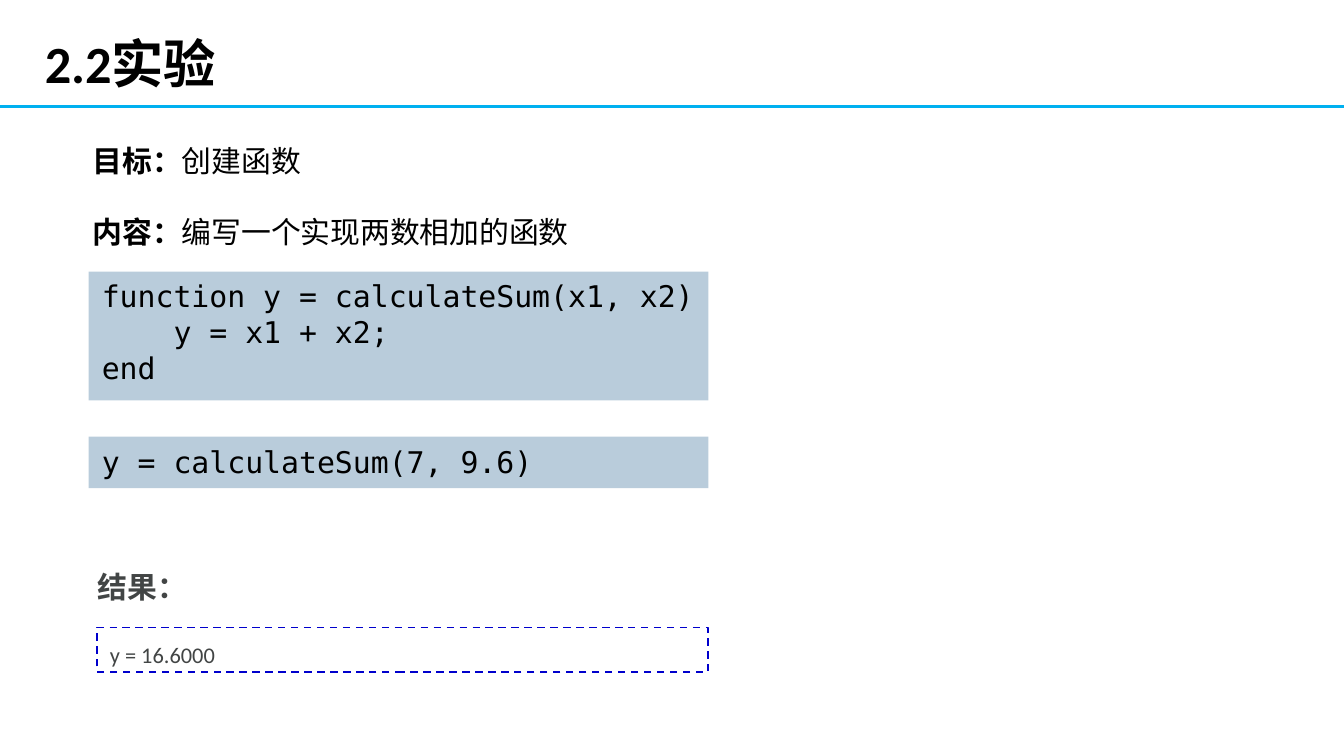
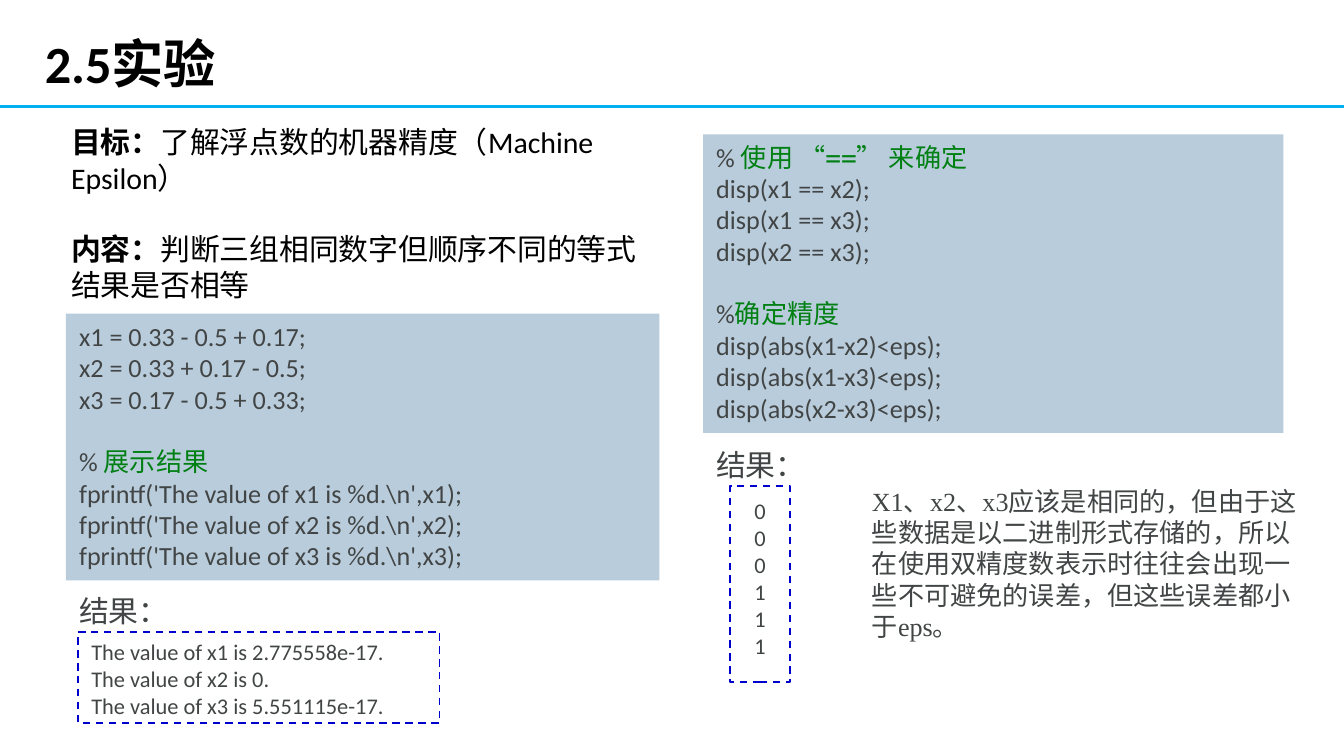
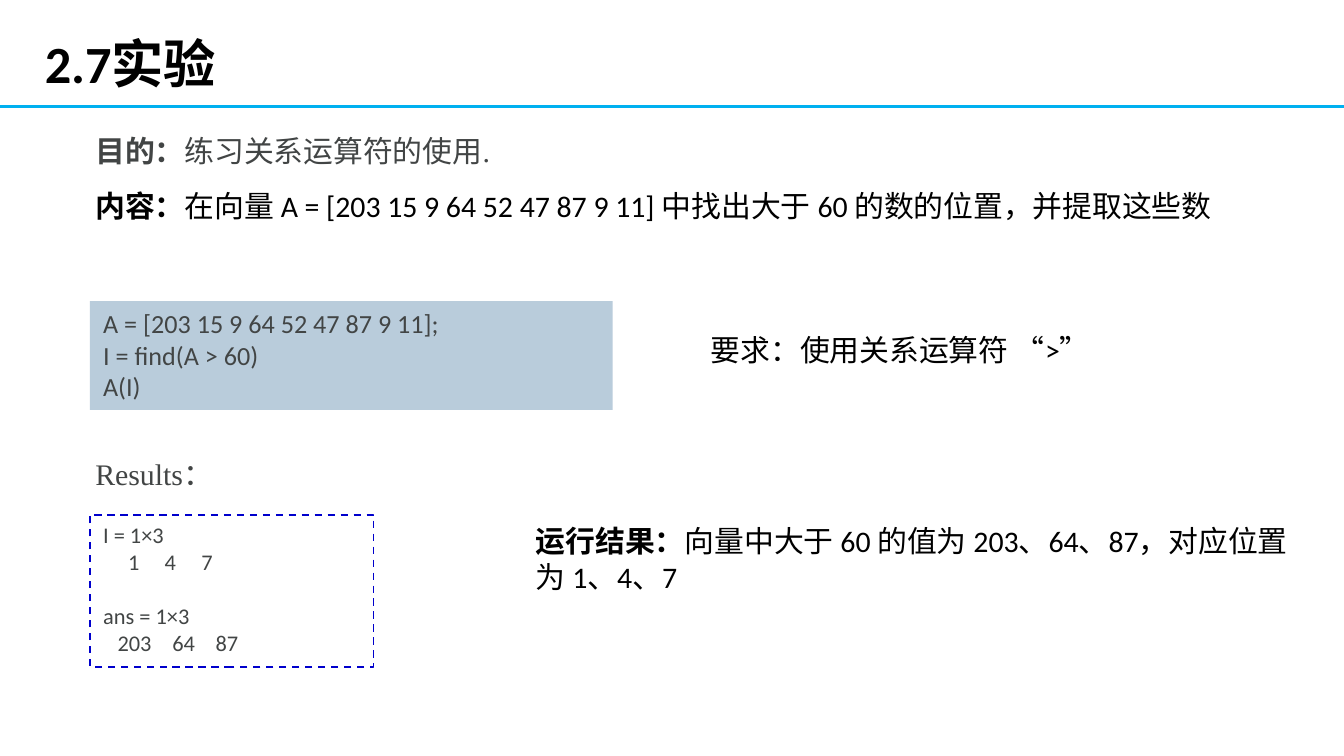
import lxml.etree
import pptx
import pptx.dml.color
import pptx.enum.dml
import pptx.enum.shapes
import pptx.enum.text
import pptx.oxml.ns
import pptx.util

Pt = pptx.util.Pt
ALIGN = pptx.enum.text.PP_ALIGN
ANCHOR = pptx.enum.text.MSO_ANCHOR
qn = pptx.oxml.ns.qn

WIDE, HIGH, RULE = 720, 405, 57
BODY = (0, RULE, WIDE, HIGH - RULE)
BLACK, GRAY, GREEN = "000000", "424545", "008013"
BLUE, SKY, DASH = "B9CCDB", "00B0F0", "0000CC"
SANS, MONO, SERIF = "Calibri", "DejaVu Sans Mono", "Times New Roman"


def color(code):
    """Turn a hex string into a color."""
    return pptx.dml.color.RGBColor.from_string(code)


def style(run, size, font, ink, bold=False):
    """Format one run."""
    run.font.size = Pt(size)
    run.font.name = font
    run.font.bold = bold
    run.font.color.rgb = color(ink)


def within(box, left, top, wide, high):
    """Place a part relative to the corner of a box."""
    return box[0] + left, box[1] + top, wide, high


def write(frame, lines, size, font, ink, gaps=(), lead=None):
    """Fill a frame; yield each line that has several runs or a bold label."""
    frame.word_wrap = True
    frame.vertical_anchor = ANCHOR.TOP
    mixed = []
    for i, line in enumerate(lines):
        para = frame.add_paragraph() if i else frame.paragraphs[0]
        para.alignment = ALIGN.LEFT
        if lead:
            para.line_spacing = lead
        if i in gaps:
            para.space_before = Pt(1.2 * size)
        parts = (line,) if isinstance(line, str) else line
        for part in parts:
            run = para.add_run()
            run.text = part
            style(run, size, font, ink)
        if parts is line:
            mixed.append(para)
    return mixed


def prose(slide, box, lines, size=16, font=SANS, ink=BLACK, gaps=(), lead=None):
    """Add running text whose split lines open with a bold label."""
    frame = slide.shapes.add_textbox(*map(Pt, box)).text_frame
    for para in write(frame, lines, size, font, ink, gaps, lead):
        para.runs[0].font.bold = True


def panel(slide, box):
    """Add a plain rectangle without fill or line."""
    shape = slide.shapes.add_shape(
        pptx.enum.shapes.MSO_SHAPE.RECTANGLE, *map(Pt, box))
    shape.shadow.inherit = False
    shape.fill.background()
    shape.line.fill.background()
    return shape


def code(slide, box, lines, size=14, font=SANS, ink=GRAY, gaps=()):
    """Add a code block whose split lines end in a green comment."""
    shape = panel(slide, box)
    shape.fill.solid()
    shape.fill.fore_color.rgb = color(BLUE)
    for para in write(shape.text_frame, lines, size, font, ink, gaps):
        style(para.runs[1], size, MONO, GREEN)


def output(slide, box, lines, gaps=(), lead=None):
    """Add a dashed box with program output."""
    shape = panel(slide, box)
    shape.line.color.rgb = color(DASH)
    shape.line.width = Pt(1)
    shape.line.dash_style = pptx.enum.dml.MSO_LINE.DASH
    write(shape.text_frame, lines, 12, SANS, GRAY, gaps, lead)
    return shape.text_frame


def set_tabs(para, first, step, count=3):
    """Give a line evenly spaced right tabs."""
    tabs = lxml.etree.SubElement(para._p.get_or_add_pPr(), qn("a:tabLst"))
    for i in range(count):
        stop = lxml.etree.SubElement(tabs, qn("a:tab"))
        stop.set("pos", str(int(Pt(first + i * step))))
        stop.set("algn", "r")


def page(deck, title):
    """Add a slide with its title and rule."""
    slide = deck.slides.add_slide(deck.slide_layouts[6])
    rule = slide.shapes.add_connector(
        pptx.enum.shapes.MSO_CONNECTOR.STRAIGHT, 0, Pt(RULE), Pt(WIDE), Pt(RULE))
    rule.line.color.rgb = color(SKY)
    rule.line.width = Pt(1.5)
    lxml.etree.SubElement(rule._element.spPr, qn("a:effectLst"))
    frame = slide.shapes.add_textbox(Pt(24), Pt(19.5), Pt(594), Pt(32)).text_frame
    frame.margin_left = frame.margin_right = 0
    frame.margin_top = frame.margin_bottom = 0
    write(frame, [title], 28, SANS, BLACK, lead=0.9)
    frame.vertical_anchor = ANCHOR.MIDDLE
    frame.paragraphs[0].runs[0].font.bold = True
    return slide


def sum_lab(slide, box):
    """Lay out the lab on writing a function."""
    prose(slide, within(box, 42.5, 15.7, 273, 65.5),
          [("目标：", "创建函数"), ("内容：", "编写一个实现两数相加的函数")], gaps=(1,))
    code(slide, within(box, 47.5, 88.5, 332, 69),
         ["function y = calculateSum(x1, x2)", "    y = x1 + x2;", "end"],
         16, MONO, BLACK)
    code(slide, within(box, 47.5, 177, 332, 27.5),
         ["y = calculateSum(7, 9.6)"], 16, MONO, BLACK)
    prose(slide, within(box, 45.4, 244, 113, 26.6), [("结果：",)], 16, SERIF, GRAY)
    output(slide, within(box, 51.8, 279.2, 327.6, 23.8), ["y = 16.6000"], lead=Pt(18))


def float_lab(slide, box):
    """Lay out the lab on machine precision."""
    names = ("x1", "x2", "x3")
    pairs = (("x1", "x2"), ("x1", "x3"), ("x2", "x3"))
    prose(slide, within(box, 31, 5.6, 327, 46.8),
          [("目标：", "了解浮点数的机器精度（Machine Epsilon）"),
           ("内容：", "判断三组相同数字但顺序不同的等式结果是否相等")], gaps=(1,))
    code(slide, within(box, 35.3, 111, 318, 143),
         ["x1 = 0.33 - 0.5 + 0.17;", "x2 = 0.33 + 0.17 - 0.5;",
          "x3 = 0.17 - 0.5 + 0.33;", ("% ", "展示结果")]
         + [f"fprintf('The value of {n} is %d.\\n',{n});" for n in names], gaps=(3,))
    code(slide, within(box, 376.6, 15, 311, 160),
         [("% ", "使用 “==” 来确定")]
         + [f"disp({a} == {b});" for a, b in pairs]
         + [("%", "确定精度")]
         + [f"disp(abs({a}-{b})<eps);" for a, b in pairs], gaps=(4,))
    for left, top in ((35.3, 251.2), (376.6, 172.7)):
        prose(slide, within(box, left, top, 306, 30.2), ["结果："],
              16, SERIF, GRAY, lead=Pt(25))
    values = ("2.775558e-17", "0", "5.551115e-17")
    output(slide, within(box, 41.8, 281.4, 193.7, 49),
           [f"The value of {n} is {v}." for n, v in zip(names, values)])
    flags = output(slide, within(box, 391, 203.6, 32.4, 105), list("000111"))
    flags.margin_top = Pt(6)
    for para in flags.paragraphs:
        para.alignment = ALIGN.CENTER
    prose(slide, within(box, 460, 199.3, 247, 92),
          ["X1、x2、x3应该是相同的，但由于这些数据是以二进制形式存储的，"
           "所以在使用双精度数表示时往往会出现一些不可避免的误差，"
           "但这些误差都小于eps。"], 14, SERIF, GRAY)


def find_lab(slide, box):
    """Lay out the lab on relational operators."""
    prose(slide, within(box, 44, 10.7, 607.7, 22.3),
          [("目的：", "练习关系运算符的使用.")], 16, SERIF, GRAY)
    prose(slide, within(box, 44, 40.2, 671, 26.6),
          [("内容：", "在向量 A = [203 15 9 64 52 47 87 9 11] 中找出大于 60 "
            "的数的位置，并提取这些数")])
    code(slide, within(box, 48.2, 104.3, 280, 58.3),
         ["A = [203 15 9 64 52 47 87 9 11];", "I = find(A > 60)", "A(I)"])
    prose(slide, within(box, 373.7, 111.5, 267.8, 31),
          ["要求：使用关系运算符 “>”"], lead=Pt(25))
    prose(slide, within(box, 44, 177.7, 306, 30.2), ["Results："],
          16, SERIF, GRAY, lead=Pt(25))
    frame = output(slide, within(box, 48.2, 218.8, 152, 81.4),
                   ["I = 1×3", "\t1\t4\t7", "ans = 1×3", "\t203\t64\t87"], gaps=(2,))
    set_tabs(frame.paragraphs[1], 19.5, 19.6)
    set_tabs(frame.paragraphs[3], 26, 23.2)
    prose(slide, within(box, 280, 219.5, 419, 46),
          [("运行结果：", "向量中大于 60 的值为 203、64、87，对应位置为 1、4、7")])


def main():
    """Build the deck."""
    deck = pptx.Presentation()
    deck.slide_width, deck.slide_height = Pt(WIDE), Pt(HIGH)
    labs = (("2.2实验", sum_lab), ("2.5实验", float_lab), ("2.7实验", find_lab))
    for title, lab in labs:
        lab(page(deck, title), BODY)
    deck.save("out.pptx")


if __name__ == "__main__":
    main()
